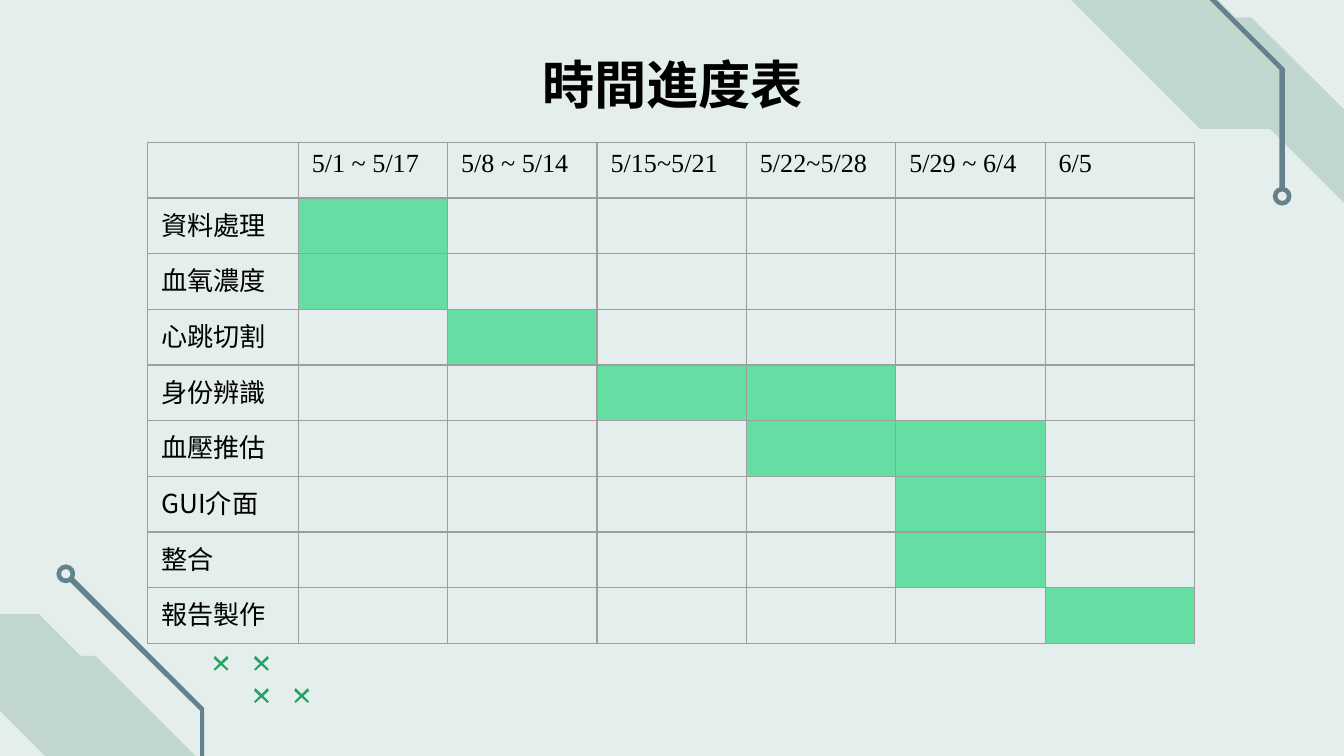
from pptx import Presentation
from pptx.dml.color import RGBColor
from pptx.enum.shapes import MSO_SHAPE
from pptx.enum.text import MSO_ANCHOR, PP_ALIGN
from pptx.oxml import parse_xml
from pptx.oxml.ns import nsdecls
from pptx.util import Inches, Pt

COLORS = {"background": "E3EEED", "plate": "C1D6CE", "trace": "64818C",
          "cross": "24A364", "grid": "9E9E9E", "busy": "66DDA2",
          "text": "000000"}
CJK_FONT = "Noto Sans CJK SC"
DATE_FONT = "Times New Roman"

WEEKS = ["5/1 ~ 5/17", "5/8 ~ 5/14", "5/15~5/21",
         "5/22~5/28", "5/29 ~ 6/4", "6/5"]
# Task and the numbers of the weeks it takes
TASKS = [("資料處理", [1]), ("血氧濃度", [1]), ("心跳切割", [2]),
         ("身份辨識", [3, 4]), ("血壓推估", [4, 5]), ("GUI介面", [5]),
         ("整合", [5]), ("報告製作", [6])]

# Corner outlines, in inches from the corner's own left and top
BOTTOM_LEFT = {
    "plate": [(1.01, 0.37), (1.32, 0.68), (1.43, 0.68), (2.73, 1.98),
              (2.09, 1.98), (1.56, 1.45), (1.08, 1.45), (0, 0.37)],
    "trace": [(5.32, 2.75), (4.83, 2.26), (4.26, 2.26), (3.61, 2.91),
              (3.3, 2.91), (2.24, 1.86), (2.24, 1.07), (1.26, 0.09),
              (1.23, 0.12), (2.21, 1.09), (2.21, 1.88), (3.28, 2.95),
              (3.62, 2.95), (4.27, 2.29), (4.81, 2.29), (5.29, 2.77)],
    "ring": (1.21, 0.07),
}
TOP_RIGHT = {
    "plate": [(1.09, 0), (1.42, 0.34), (1.54, 0.34), (2.95, 1.74),
              (2.25, 1.74), (1.68, 1.17), (1.16, 1.17), (0, 0.01)],
    "trace": [(1.75, 1.62), (1.75, 0.73), (0.39, -0.63), (-0.36, -0.63),
              (-1.38, -1.64), (-1.35, -1.67), (-0.35, -0.66),
              (0.41, -0.66), (1.79, 0.72), (1.79, 1.62)],
    "ring": (1.77, 1.67),
}


def rgb(name):
    return RGBColor.from_string(COLORS[name])


def paint(shape, color):
    shape.shadow.inherit = False
    shape.fill.solid()
    shape.fill.fore_color.rgb = rgb(color)
    shape.line.fill.background()


def add_polygon(slide, left, top, points, color):
    corners = [(Inches(left + x), Inches(top + y)) for x, y in points]
    outline = slide.shapes.build_freeform(*corners[0])
    outline.add_line_segments(corners[1:], close=True)
    paint(outline.convert_to_shape(), color)


def add_corner(slide, left, top, parts):
    """Add a tinted plate with a circuit trace ending in a ring."""
    for name in ("plate", "trace"):
        add_polygon(slide, left, top, parts[name], name)
    diameter = 0.14
    x, y = parts["ring"]
    ring = slide.shapes.add_shape(
        MSO_SHAPE.DONUT, Inches(left + x - diameter / 2),
        Inches(top + y - diameter / 2), Inches(diameter), Inches(diameter))
    ring.adjustments[0] = 0.25
    paint(ring, "trace")


def add_crosses(slide, left, top):
    size = 0.11
    rising = [(0.1, 0), (size, 0.02), (0.01, size), (0, 0.1)]
    falling = [(size - x, y) for x, y in rising]
    for column, row in [(0, 0), (1, 0), (1, 1), (2, 1)]:
        for bar in (rising, falling):
            add_polygon(slide, left + 0.3 * column, top + 0.24 * row,
                        bar, "cross")


def write(frame, text, font, size, bold=False):
    run = frame.paragraphs[0].add_run()
    run.text = text
    for key, value in {"name": font, "size": Pt(size), "bold": bold}.items():
        setattr(run.font, key, value)
    run.font.color.rgb = rgb("text")
    run.font._element.append(
        parse_xml(f'<a:ea {nsdecls("a")} typeface="{font}"/>'))


def add_title(slide, left, top, width, height):
    title = slide.shapes.title
    box = {"left": left, "top": top, "width": width, "height": height}
    for key, value in box.items():
        setattr(title, key, Inches(value))
    frame = title.text_frame
    layout = {"margin_left": 0, "margin_right": 0, "margin_top": 0,
              "margin_bottom": 0, "word_wrap": True,
              "vertical_anchor": MSO_ANCHOR.MIDDLE}
    for key, value in layout.items():
        setattr(frame, key, value)
    frame.paragraphs[0].alignment = PP_ALIGN.CENTER
    frame.paragraphs[0].line_spacing = 1.0
    write(frame, "時間進度表", CJK_FONT, 28, bold=True)


def format_cell(cell, busy):
    properties = cell._tc.get_or_add_tcPr()
    for side in ("lnL", "lnR", "lnT", "lnB"):
        properties.append(parse_xml(
            f'<a:{side} {nsdecls("a")} w="{Pt(0.75)}"><a:solidFill>'
            f'<a:srgbClr val="{COLORS["grid"]}"/></a:solidFill></a:{side}>'))
    if busy:
        cell.fill.solid()
        cell.fill.fore_color.rgb = rgb("busy")
    else:
        cell.fill.background()


def add_schedule(slide, left, top, width, height):
    schedule = slide.shapes.add_table(
        len(TASKS) + 1, len(WEEKS) + 1, Inches(left), Inches(top),
        Inches(width), Inches(height)).table
    schedule.first_row = schedule.horz_banding = False
    task_width = 1.12
    for number, column in enumerate(schedule.columns):
        column.width = Inches((width - task_width) / len(WEEKS)
                              if number else task_width)
    for number, week in enumerate(WEEKS, 1):
        write(schedule.cell(0, number).text_frame, week, DATE_FONT, 14)
    for number, (task, _) in enumerate(TASKS, 1):
        write(schedule.cell(number, 0).text_frame, task, CJK_FONT, 14)
    busy_weeks = [[]] + [weeks for _, weeks in TASKS]
    for row, weeks in enumerate(busy_weeks):
        for column in range(len(WEEKS) + 1):
            format_cell(schedule.cell(row, column), column in weeks)


def main():
    deck = Presentation()
    deck.slide_width = Inches(10)
    deck.slide_height = deck.slide_width * 9 // 16
    slide = deck.slides.add_slide(deck.slide_layouts[5])
    slide.background.fill.solid()
    slide.background.fill.fore_color.rgb = rgb("background")
    add_corner(slide, -0.72, 4.2, BOTTOM_LEFT)
    add_crosses(slide, 1.59, 4.88)
    add_corner(slide, 7.77, -0.21, TOP_RIGHT)
    add_title(slide, 2.48, 0.34, 5.05, 0.57)
    add_schedule(slide, 1.1, 1.06, 7.79, 3.73)
    deck.save("out.pptx")


if __name__ == "__main__":
    main()
